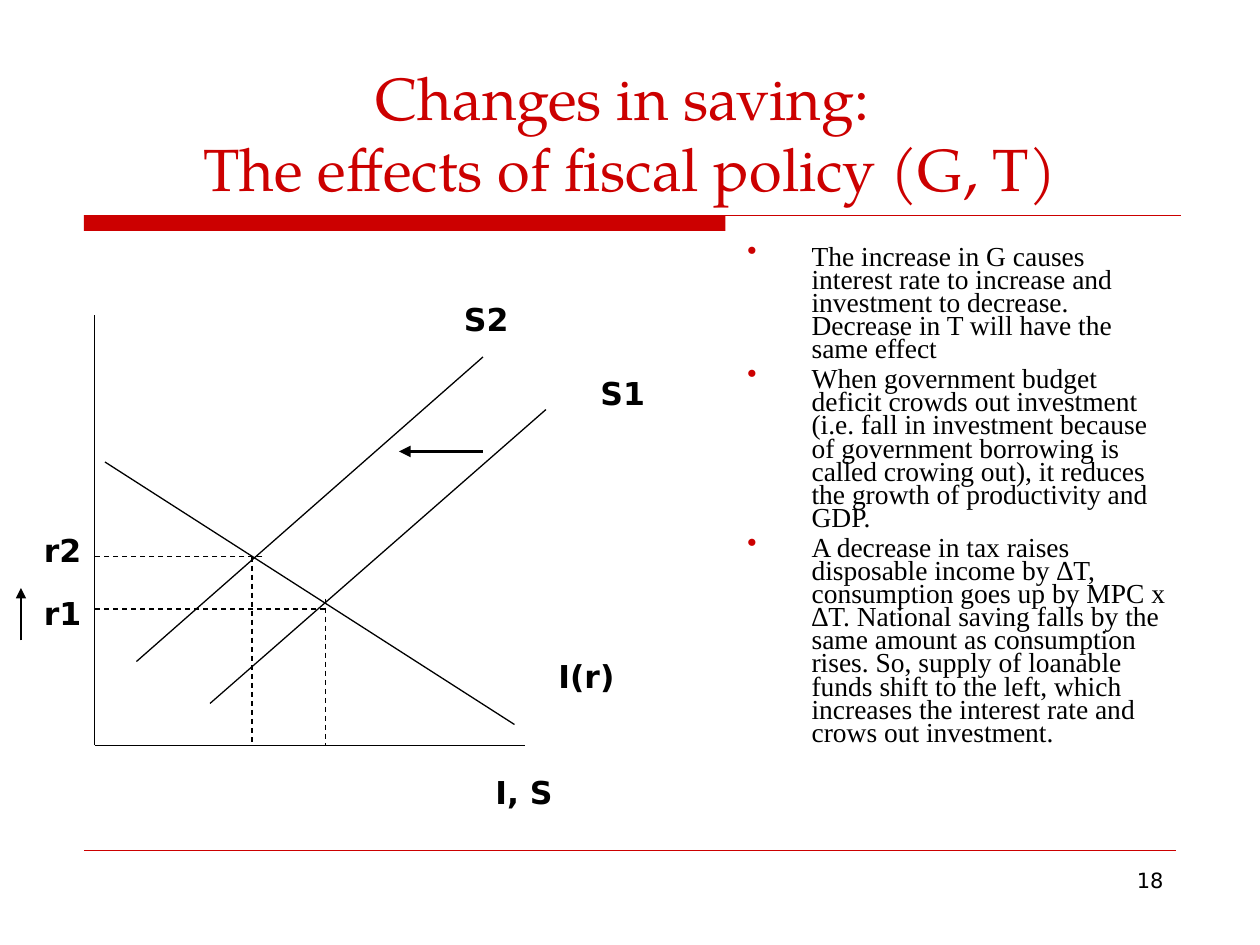
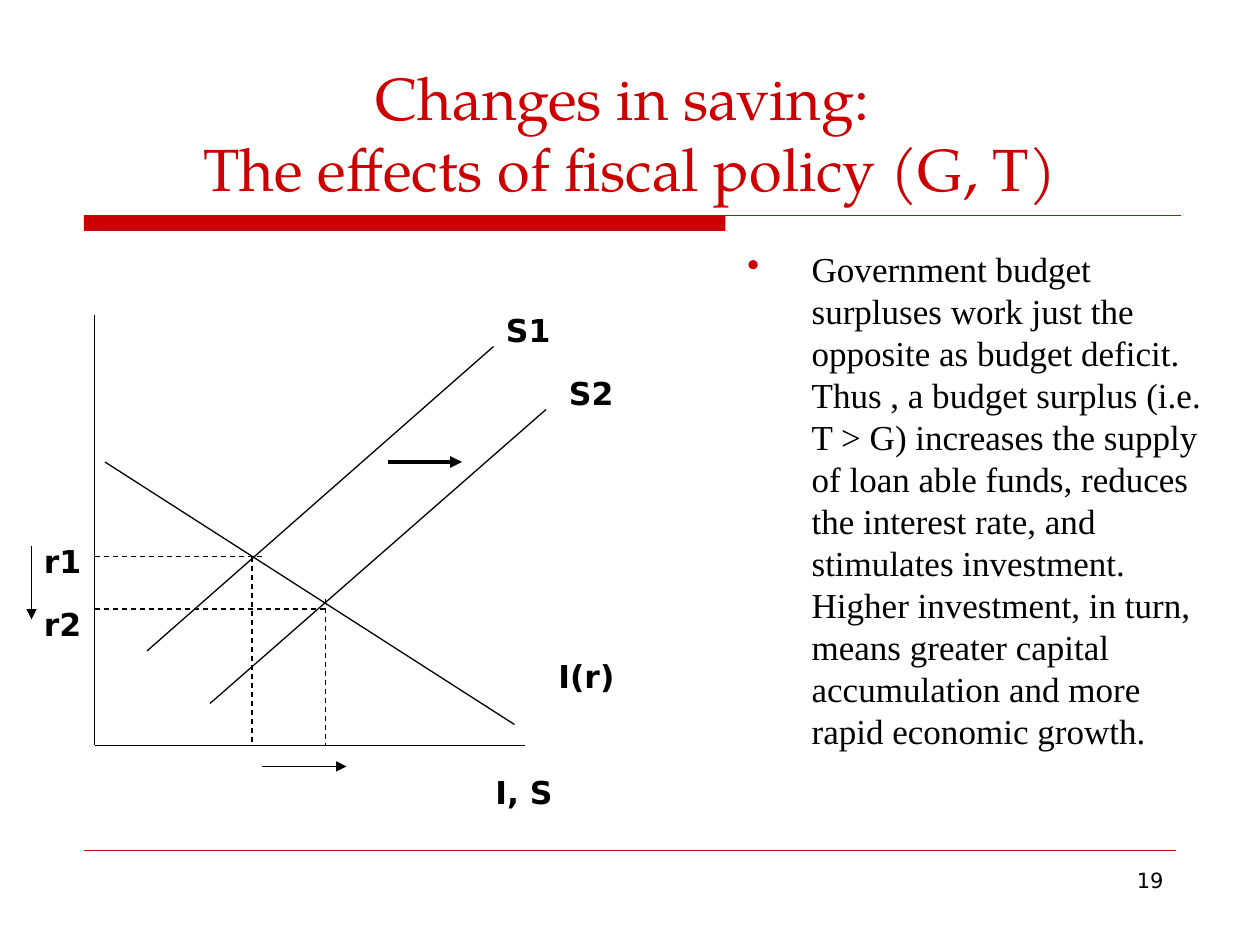
"""Builds two slides on how fiscal policy shifts saving and the interest rate."""
from lxml import etree
from pptx import Presentation
from pptx.dml.color import RGBColor
from pptx.enum.dml import MSO_LINE
from pptx.enum.shapes import MSO_CONNECTOR, MSO_SHAPE
from pptx.enum.text import MSO_ANCHOR, MSO_AUTO_SIZE, PP_ALIGN
from pptx.oxml.ns import qn
from pptx.util import Pt

DASH = MSO_LINE.DASH
STRAIGHT = MSO_CONNECTOR.STRAIGHT
RECTANGLE = MSO_SHAPE.RECTANGLE
TOP, BOTTOM = MSO_ANCHOR.TOP, MSO_ANCHOR.BOTTOM
GROW = MSO_AUTO_SIZE.SHAPE_TO_FIT_TEXT
LEFT, CENTER, RIGHT = PP_ALIGN.LEFT, PP_ALIGN.CENTER, PP_ALIGN.RIGHT

COLORS = {"red": "CC0000", "black": "000000"}
TITLE_FONT = {"name": "TeX Gyre Pagella", "size": Pt(34)}
NUMBER_FONT = {"name": "DejaVu Sans", "size": Pt(12)}
LABEL_FONT = {"name": "DejaVu Sans", "size": Pt(18), "bold": True}
BODY_FONT = "Times New Roman"
THIN, THICK, HAIR = 0.74, 2.24, 0.26
LABEL_HEIGHT = 29
BULLET_INDENT = 36.7

TITLE = "Changes in saving: \vThe effects of fiscal policy (G, T)"

ORIGIN = (54, 426)
AXIS_LENGTH = 246
INVESTMENT = (60, 264, 294, 414)
RIGHT_SAVING = (120, 402, 312, 234)
GUIDES = [
    (186, 348, 54, 348), (150, 318, 54, 318),
    (186, 342, 186, 426), (144, 318, 144, 426),
]
SHARED_LABELS = [("I(r)", 312, 372, 66), ("I, S", 276, 438, 102)]

SLIDES = [
    {
        "number": "18",
        "points": [
            "The increase in G causes interest rate to increase and investment to "
            "decrease. Decrease in T will have the same effect",
            "When government budget deficit crowds out investment (i.e. fall in "
            "investment because of government borrowing is called crowing out), it "
            "reduces the growth of productivity and GDP.",
            "A decrease in tax raises disposable income by \u2206T, consumption goes up by "
            "MPC x \u2206T. National saving falls by the same amount as consumption rises. "
            "So, supply of loanable funds shift to the left, which increases the "
            "interest rate and crows out investment.",
        ],
        "width": 255,
        "size": 15.7,
        "spacing": {"line_spacing": 0.7, "space_before": Pt(4.2)},
        "left_saving": (78, 378, 276, 204),
        "shift": (276, 258, 228, 258),
        "arrows": [(12, 366, 12, 336)],
        "labels": [("r1", 18, 336, 48), ("r2", 18, 300, 48),
                   ("S1", 336, 210, 42), ("S2", 258, 168, 42)],
    },
    {
        "number": "19",
        "points": [
            "Government budget surpluses work just the opposite as budget deficit. "
            "Thus , a budget surplus (i.e. T > G) increases the supply of loan able "
            "funds, reduces the interest rate, and stimulates investment. Higher "
            "investment, in turn, means greater capital accumulation and more rapid "
            "economic growth.",
        ],
        "width": 276,
        "size": 20,
        "spacing": {"space_before": Pt(5)},
        "left_saving": (84, 372, 282, 198),
        "shift": (222, 264, 264, 264),
        "arrows": [(18, 312, 18, 354), (150, 438, 198, 438)],
        "labels": [("r1", 18, 306, 48), ("r2", 18, 342, 48),
                   ("S1", 282, 174, 42), ("S2", 318, 210, 42)],
    },
]


def rgb(name):
    return RGBColor.from_string(COLORS[name])


def apply(target, values):
    for name, value in values.items():
        setattr(target, name, value)


def add_line(page, ends, color="black", width=THIN, dashed=False, arrow=False):
    line = page.shapes.add_connector(STRAIGHT, *map(Pt, ends))
    line.line.color.rgb = rgb(color)
    line.line.width = Pt(width)
    if dashed:
        line.line.dash_style = DASH
    properties = line._element.spPr
    if arrow:
        etree.SubElement(properties.find(qn("a:ln")), qn("a:tailEnd"), type="triangle")
    etree.SubElement(properties, qn("a:effectLst"))


def add_text(page, area, texts, font, color="black", align=LEFT, anchor=TOP, spacing=None):
    box = page.shapes.add_textbox(*map(Pt, area))
    frame = box.text_frame
    apply(frame, {"word_wrap": True, "vertical_anchor": anchor})
    for index, text in enumerate(texts):
        para = frame.add_paragraph() if index else frame.paragraphs[0]
        para.text = text
        apply(para, {"alignment": align, **(spacing or {})})
        for span in para.runs:
            apply(span.font, font)
            span.font.color.rgb = rgb(color)
    return frame


def add_bullet(para):
    properties = para._p.get_or_add_pPr()
    properties.set("marL", str(Pt(BULLET_INDENT)))
    properties.set("indent", str(-Pt(BULLET_INDENT)))
    color = etree.SubElement(properties, qn("a:buClr"))
    etree.SubElement(color, qn("a:srgbClr"), val=COLORS["red"])
    etree.SubElement(properties, qn("a:buChar"), char="\u2022")


def add_frame(page, number):
    band = page.shapes.add_shape(RECTANGLE, Pt(48), Pt(123), Pt(366.5), Pt(9))
    band.shadow.inherit = False
    band.fill.solid()
    band.fill.fore_color.rgb = rgb("red")
    band.line.fill.background()
    add_line(page, (48, 123, 674.6, 123), "red")
    add_line(page, (48, 486, 672, 486), "red", HAIR)
    add_text(page, (516, 492, 156, 37.5), [number], NUMBER_FONT, align=RIGHT)
    add_text(page, (45, 24, 630, 96), [TITLE], TITLE_FONT, "red", CENTER, BOTTOM)


def add_diagram(page, content):
    x, y = ORIGIN
    for ends in [(x, y - AXIS_LENGTH, x, y), (x, y, x + AXIS_LENGTH, y),
                 INVESTMENT, RIGHT_SAVING, content["left_saving"]]:
        add_line(page, ends)
    for ends in GUIDES:
        add_line(page, ends, dashed=True)
    add_line(page, content["shift"], width=THICK, arrow=True)
    for ends in content["arrows"]:
        add_line(page, ends, arrow=True)
    for text, left, top, width in content["labels"] + SHARED_LABELS:
        label = add_text(page, (left, top, width, LABEL_HEIGHT), [text], LABEL_FONT)
        label.auto_size = GROW


def add_points(page, content):
    font = {"name": BODY_FONT, "size": Pt(content["size"])}
    frame = add_text(page, (420, 138, content["width"], 336), content["points"], font,
                     spacing=content["spacing"])
    for para in frame.paragraphs:
        add_bullet(para)


deck = Presentation()
apply(deck, {"slide_width": Pt(720), "slide_height": Pt(540)})
for content in SLIDES:
    page = deck.slides.add_slide(deck.slide_layouts[6])
    add_frame(page, content["number"])
    add_points(page, content)
    add_diagram(page, content)
deck.save("out.pptx")
